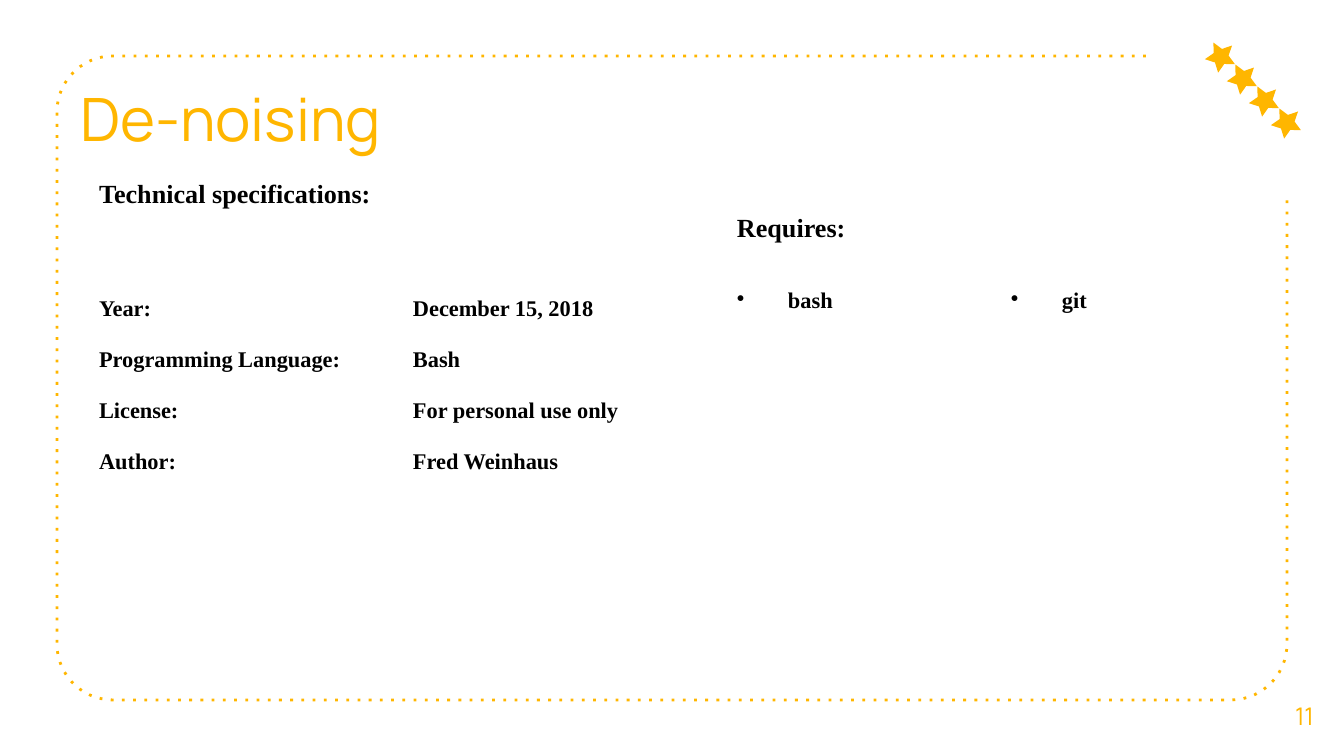
import math

from lxml import etree
from pptx import Presentation
from pptx.dml.color import RGBColor
from pptx.enum.dml import MSO_LINE
from pptx.enum.text import MSO_ANCHOR, PP_ALIGN
from pptx.oxml.ns import qn
from pptx.util import Emu, Pt

CENTER, JUSTIFY, LEFT = PP_ALIGN.CENTER, PP_ALIGN.JUSTIFY, PP_ALIGN.LEFT
TOP, MIDDLE, BOTTOM = MSO_ANCHOR.TOP, MSO_ANCHOR.MIDDLE, MSO_ANCHOR.BOTTOM
ROUND_DOT = MSO_LINE.ROUND_DOT

GOLD, BLACK = "FFB600", "000000"
DISPLAY_FONT, BODY_FONT = "Manrope", "Times New Roman"
EMU_PER_PX = 914400 / 134.4
NO_TABLE_STYLE = "{2D5ABB26-0587-4C30-8999-92F81FD0307C}"

# Content; boxes are left, top, width, height in px
TITLE = ("De-noising", (67, 65, 731, 101))
PAGE_NUMBER = ("11", (1265, 675, 79, 81))

REQUIREMENTS = {
    "heading": "Requires:",
    "rows": [("bash", "git"), ("", "")],
    "origin": (728, 210),
    "column": 274,
    "heights": (75, 51, 51),
    "format": {"align": JUSTIFY, "bullet_indent": 51},
    "space_after": 0,
}
SPECIFICATIONS = {
    "heading": "Technical specifications:",
    "rows": [
        ("Year:", "December 15, 2018"),
        ("Programming Language:", "Bash"),
        ("License:", "For personal use only"),
        ("Author:", "Fred Weinhaus"),
    ],
    "origin": (90, 176),
    "column": 314,
    "heights": (117, 51, 51, 51, 66),
    "format": {},
    "space_after": 10,
}

FRAME = {"left": 57, "top": 56, "right": 1287, "bottom": 700, "radius": 56}
FRAME_START_X, FRAME_END_Y = 1146, 196
FIRST_STAR_CENTER, STAR_STEP, STAR_COUNT = (1220, 57), 22, 4
STAR_RADIUS, STAR_INNER_RADIUS, STAR_ROTATION = 16, 8, 333.2


def px(length):
    return Emu(round(length * EMU_PER_PX))


def color(hex_value):
    return RGBColor.from_string(hex_value)


def write(frame, text, size, font=BODY_FONT, fill=BLACK, bold=False,
          align=LEFT, line_spacing=None, space_after=0, bullet_indent=0):
    paragraph = frame.paragraphs[0]
    paragraph.alignment = align
    paragraph.line_spacing = line_spacing
    paragraph.space_after = Pt(space_after)
    if bullet_indent:
        properties = paragraph._p.get_or_add_pPr()
        properties.set("marL", str(px(bullet_indent)))
        properties.set("indent", str(-px(bullet_indent)))
        bullet_color = etree.SubElement(properties, qn("a:buClr"))
        etree.SubElement(bullet_color, qn("a:srgbClr"), val=fill)
        etree.SubElement(properties, qn("a:buChar"), char="•")
    run = paragraph.add_run()
    run.text = text
    run.font.size, run.font.name, run.font.bold = Pt(size), font, bold
    run.font.color.rgb = color(fill)


def add_label(slide, label, anchor, **text_format):
    text, box = label
    frame = slide.shapes.add_textbox(*map(px, box)).text_frame
    frame.word_wrap = True
    frame.vertical_anchor = anchor
    frame.margin_left = frame.margin_right = px(13)
    frame.margin_top = frame.margin_bottom = px(13)
    write(frame, text, font=DISPLAY_FONT, fill=GOLD, **text_format)


def add_outline(slide, points, close):
    start, *rest = [(px(x), px(y)) for x, y in points]
    builder = slide.shapes.build_freeform(*start)
    builder.add_line_segments(rest, close=close)
    outline = builder.convert_to_shape()
    outline.shadow.inherit = False
    return outline


def circle_point(center, radius, degrees):
    angle = math.radians(degrees)
    return center[0] + radius * math.cos(angle), center[1] + radius * math.sin(angle)


def add_dotted_frame(slide):
    """Draw the rounded border, open at the top right corner."""
    radius = FRAME["radius"]
    near_left, near_right = FRAME["left"] + radius, FRAME["right"] - radius
    near_top, near_bottom = FRAME["top"] + radius, FRAME["bottom"] - radius
    corners = [
        ((near_left, near_top), 270),
        ((near_left, near_bottom), 180),
        ((near_right, near_bottom), 90),
    ]
    points = [(FRAME_START_X, FRAME["top"])]
    for center, first_angle in corners:
        points += [circle_point(center, radius, first_angle - turn)
                   for turn in range(0, 91, 6)]
    points.append((FRAME["right"], FRAME_END_Y))

    border = add_outline(slide, points, close=False)
    border.fill.background()
    border.line.color.rgb = color(GOLD)
    border.line.width = Pt(1.5)
    border.line.dash_style = ROUND_DOT
    border.element.spPr.find(".//" + qn("a:prstDash")).set("val", "dot")


def add_star(slide, center):
    points = [
        circle_point(center, STAR_INNER_RADIUS if i % 2 else STAR_RADIUS, 36 * i - 90)
        for i in range(10)
    ]
    star = add_outline(slide, points, close=True)
    star.rotation = STAR_ROTATION
    star.fill.solid()
    star.fill.fore_color.rgb = color(GOLD)
    star.line.fill.background()


def add_facts(slide, facts):
    """Add a two-column table whose heading spans its first row."""
    heights = facts["heights"]
    width = 2 * facts["column"]
    table = slide.shapes.add_table(
        len(heights), 2, *map(px, (*facts["origin"], width, sum(heights)))).table
    table.first_row = table.horz_banding = False
    table._tbl.tblPr.find(qn("a:tableStyleId")).text = NO_TABLE_STYLE
    for column in table.columns:
        column.width = px(facts["column"])
    for row, height in zip(table.rows, heights):
        row.height = px(height)
    for cell in table.iter_cells():
        cell.fill.background()
        cell.vertical_anchor = TOP
        cell.margin_left = cell.margin_right = px(9)
        cell.margin_top = cell.margin_bottom = 0

    shared = {"bold": True, "line_spacing": 1.15, "space_after": facts["space_after"]}
    table.cell(0, 0).merge(table.cell(0, 1))
    write(table.cell(0, 0).text_frame, facts["heading"], size=14, **shared)
    for r, texts in enumerate(facts["rows"], start=1):
        for c, text in enumerate(texts):
            if text:
                write(table.cell(r, c).text_frame, text, size=12,
                      **shared, **facts["format"])


def main():
    presentation = Presentation()
    presentation.slide_width, presentation.slide_height = px(1344), px(756)
    slide = presentation.slides.add_slide(presentation.slide_layouts[6])

    add_dotted_frame(slide)
    add_label(slide, TITLE, BOTTOM, size=32)
    for i in range(STAR_COUNT):
        add_star(slide, [start + i * STAR_STEP for start in FIRST_STAR_CENTER])
    add_label(slide, PAGE_NUMBER, MIDDLE, size=13, align=CENTER)
    add_facts(slide, REQUIREMENTS)
    add_facts(slide, SPECIFICATIONS)
    presentation.save("out.pptx")


if __name__ == "__main__":
    main()
